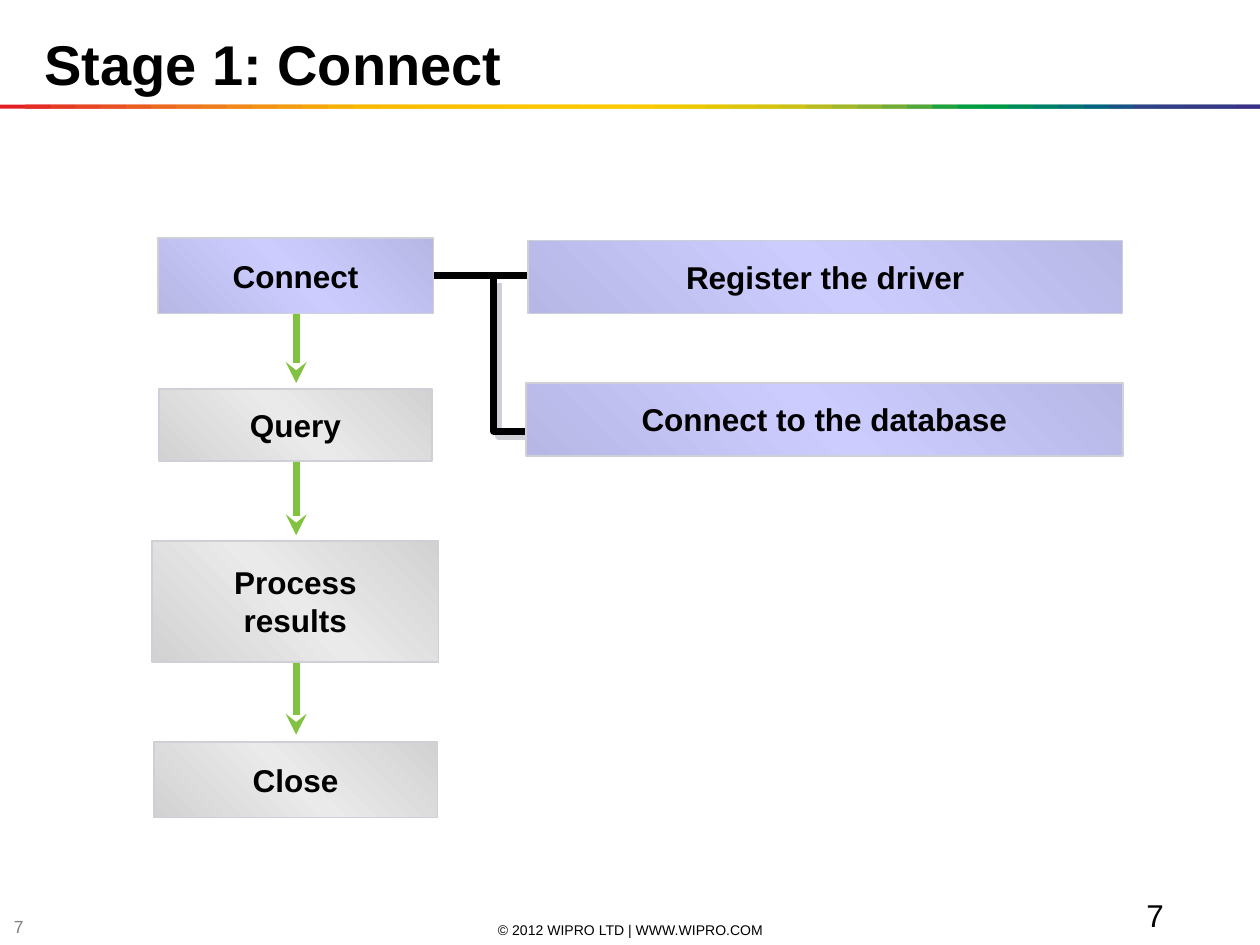
import copy

import pptx
import pptx.dml.color
import pptx.enum.shapes
import pptx.enum.text
import pptx.oxml
import pptx.oxml.ns
import pptx.util
from pptx.dml.color import RGBColor
from pptx.util import Cm

FONT = "Arial"
BLACK = RGBColor(0x00, 0x00, 0x00)
GREY = RGBColor(0x7F, 0x7F, 0x7F)
GREEN = RGBColor(0x81, 0xC2, 0x40)
BORDER = RGBColor(0xCF, 0xD0, 0xD7)
LILAC = (RGBColor(0xB7, 0xB7, 0xE5), RGBColor(0xCC, 0xCC, 0xFF))
SILVER = (RGBColor(0xD2, 0xD2, 0xD2), RGBColor(0xEA, 0xEA, 0xEA))
RAINBOW = [RGBColor.from_string(code) for code in """
    E31E24 E42C24 E53A24 E74623 E85122 EA5D21 EC691F EE741D EF7E1A F18817
    F39314 F49C0F F6A607 F8B002 FBBA00 FBBB00 FBBD00 FCBF00 FCC000 FCC200
    FDC400 FDC600 FDC700 FEC900 FECB00 FBCB00 F3CA00 ECC800 E4C602 DCC50A
    D5C30E CCC117 B8BC21 A3B829 8CB230 71AD36 51A73B 1DA240 009D43 009846
    008C57 008068 007275 00637F 185384 2E4285 313E85 333B85 353885 393185
""".split()]

SLIDE_WIDTH, SLIDE_HEIGHT = 25.4, 19.05
ARROW_X = 5.97
ARROW_LENGTH = 1.47
LINE_WIDTH = pptx.util.Pt(4)

# Text, left, top, width, height (cm), gradient
BOXES = [
    ("Query", 3.2, 7.85, 5.51, 1.45, SILVER),
    ("Close", 3.1, 14.96, 5.72, 1.52, SILVER),
    ("Connect", 3.18, 4.8, 5.56, 1.52, LILAC),
    ("Process\vresults", 3.07, 10.9, 5.77, 2.44, SILVER),
    ("Register the driver", 10.64, 4.85, 11.99, 1.47, LILAC),
    ("Connect to the database", 10.6, 7.72, 12.04, 1.47, LILAC),
]


def format_text(shape, text, size, color, bold=False, centered=False, middle=True):
    frame = shape.text_frame
    frame.text = text
    if middle:
        frame.vertical_anchor = pptx.enum.text.MSO_ANCHOR.MIDDLE
    else:
        frame.vertical_anchor = pptx.enum.text.MSO_ANCHOR.TOP
    paragraph = frame.paragraphs[0]
    if centered:
        paragraph.alignment = pptx.enum.text.PP_ALIGN.CENTER
    for run in paragraph.runs:
        run.font.name = FONT
        run.font.size = pptx.util.Pt(size)
        run.font.bold = bold
        run.font.color.rgb = color


def add_label(slide, text, left, top, width, height, size, color=BLACK, **options):
    shape = slide.shapes.add_textbox(Cm(left), Cm(top), Cm(width), Cm(height))
    shape.text_frame.word_wrap = True
    format_text(shape, text, size, color, **options)


def add_rectangle(slide, left, top, width, height):
    shape = slide.shapes.add_shape(
        pptx.enum.shapes.MSO_SHAPE.RECTANGLE, Cm(left), Cm(top), Cm(width), Cm(height))
    shape.shadow.inherit = False
    return shape


def add_rainbow_rule(slide):
    """Overlapping coloured strips across the full slide width."""
    step = SLIDE_WIDTH / len(RAINBOW)
    for index, color in enumerate(RAINBOW):
        left = index * step
        strip = add_rectangle(slide, left, 2.11, min(2 * step, SLIDE_WIDTH - left), 0.08)
        strip.fill.solid()
        strip.fill.fore_color.rgb = color
        strip.line.fill.background()


def fill_gradient(shape, edge, middle):
    """Diagonal gradient: edge colour at both ends, middle colour halfway."""
    shape.fill.gradient()
    shape.fill.gradient_angle = 45
    stop_list = shape.element.spPr.find(".//" + pptx.oxml.ns.qn("a:gsLst"))
    stop_list.insert(1, copy.deepcopy(stop_list[0]))
    for stop, position, color in zip(
            shape.fill.gradient_stops, (0, 0.5, 1), (edge, middle, edge)):
        stop.position = position
        stop.color.rgb = color


def add_box(slide, text, left, top, width, height, gradient):
    box = add_rectangle(slide, left, top, width, height)
    fill_gradient(box, *gradient)
    box.line.color.rgb = BORDER
    box.line.width = pptx.util.Pt(1)
    box.text_frame.word_wrap = False
    format_text(box, text, 18, BLACK, bold=True, centered=True)


def add_line(slide, start, end, color, arrow=False):
    line = slide.shapes.add_connector(
        pptx.enum.shapes.MSO_CONNECTOR.STRAIGHT, *map(Cm, start + end))
    line.line.color.rgb = color
    line.line.width = LINE_WIDTH
    if arrow:
        head = pptx.oxml.parse_xml(
            f'<a:tailEnd {pptx.oxml.ns.nsdecls("a")} type="stealth"/>')
        line.line._get_or_add_ln().append(head)
    line.element.spPr.append(
        pptx.oxml.parse_xml(f'<a:effectLst {pptx.oxml.ns.nsdecls("a")}/>'))


def add_branch(slide):
    """Shadowed elbow leading down to the second connection step."""
    left, top, right, bottom = Cm(9.95), Cm(5.61), Cm(11.44), Cm(8.69)
    builder = slide.shapes.build_freeform(left, top)
    builder.add_line_segments([(left, bottom), (right, bottom)], close=False)
    branch = builder.convert_to_shape()
    branch.fill.background()
    branch.line.color.rgb = BLACK
    branch.line.width = LINE_WIDTH
    branch.element.spPr.append(pptx.oxml.parse_xml(
        f'<a:effectLst {pptx.oxml.ns.nsdecls("a")}>'
        f'<a:outerShdw dist="{pptx.util.Pt(4.2)}" dir="2700000" algn="ctr" rotWithShape="0">'
        f'<a:srgbClr val="{BORDER}"/></a:outerShdw></a:effectLst>'))


def main():
    presentation = pptx.Presentation()
    presentation.slide_width = Cm(SLIDE_WIDTH)
    presentation.slide_height = Cm(SLIDE_HEIGHT)
    slide = presentation.slides.add_slide(presentation.slide_layouts[6])

    add_label(slide, "© 2012 WIPRO LTD | WWW.WIPRO.COM", 8.69, 18.54, 8.05, 0.41, 8,
              centered=True)
    add_label(slide, "7", 0.03, 18.47, 0.99, 0.41, 10, GREY)
    add_rainbow_rule(slide)
    add_label(slide, "7", 22.86, 17.93, 2.44, 0.89, 18, middle=False)

    for top in (6.25, 9.32, 13.34):
        add_line(slide, (ARROW_X, top), (ARROW_X, top + ARROW_LENGTH), GREEN, arrow=True)
    add_line(slide, (8.38, 5.56), (10.82, 5.56), BLACK)
    add_branch(slide)
    for box in BOXES:
        add_box(slide, *box)

    add_label(slide, "Stage 1: Connect", 0.64, 0, 24.76, 2.54, 32, bold=True)
    presentation.save("out.pptx")


if __name__ == "__main__":
    main()
